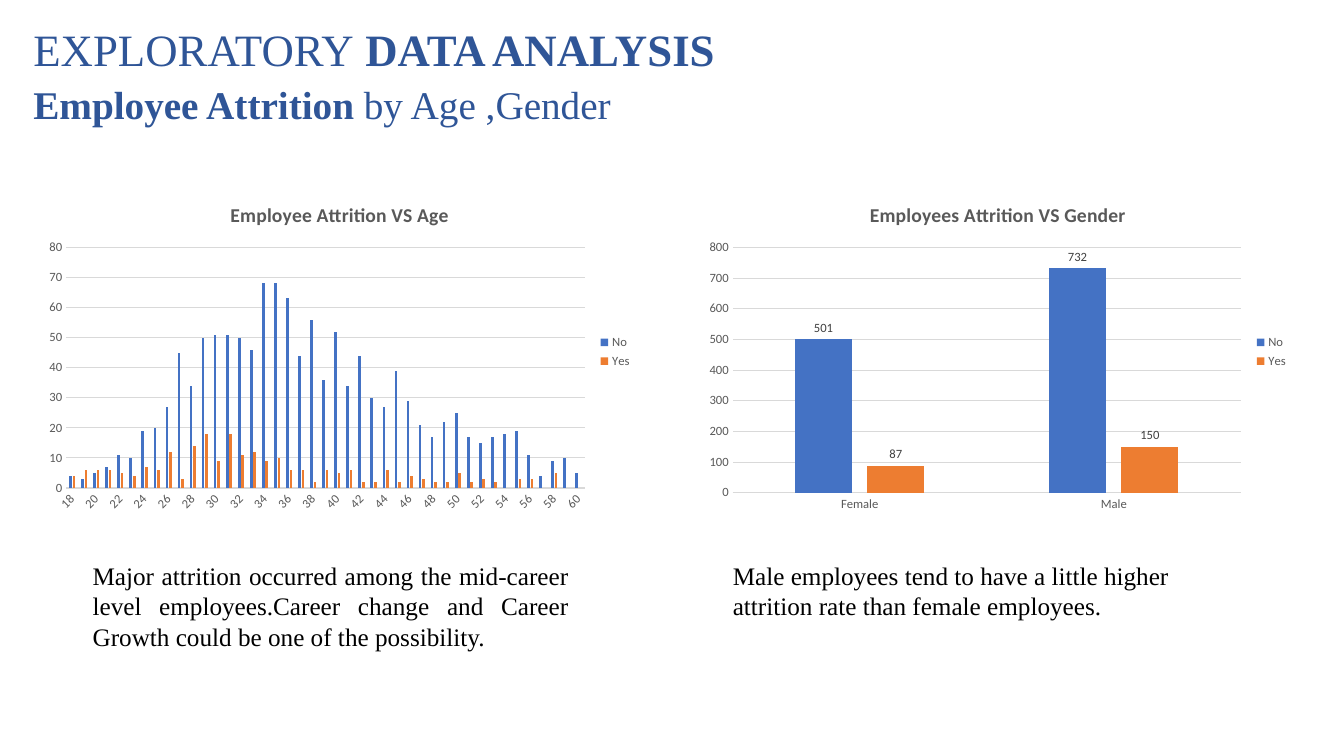
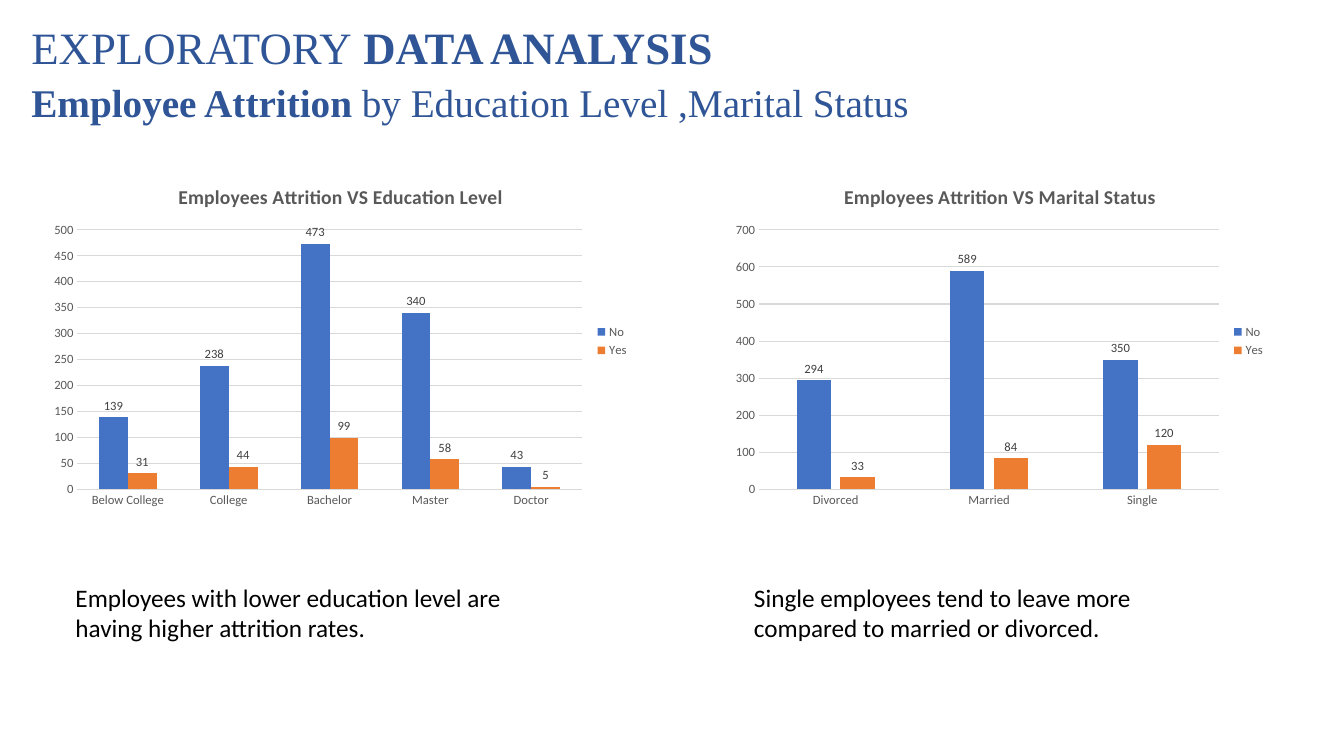
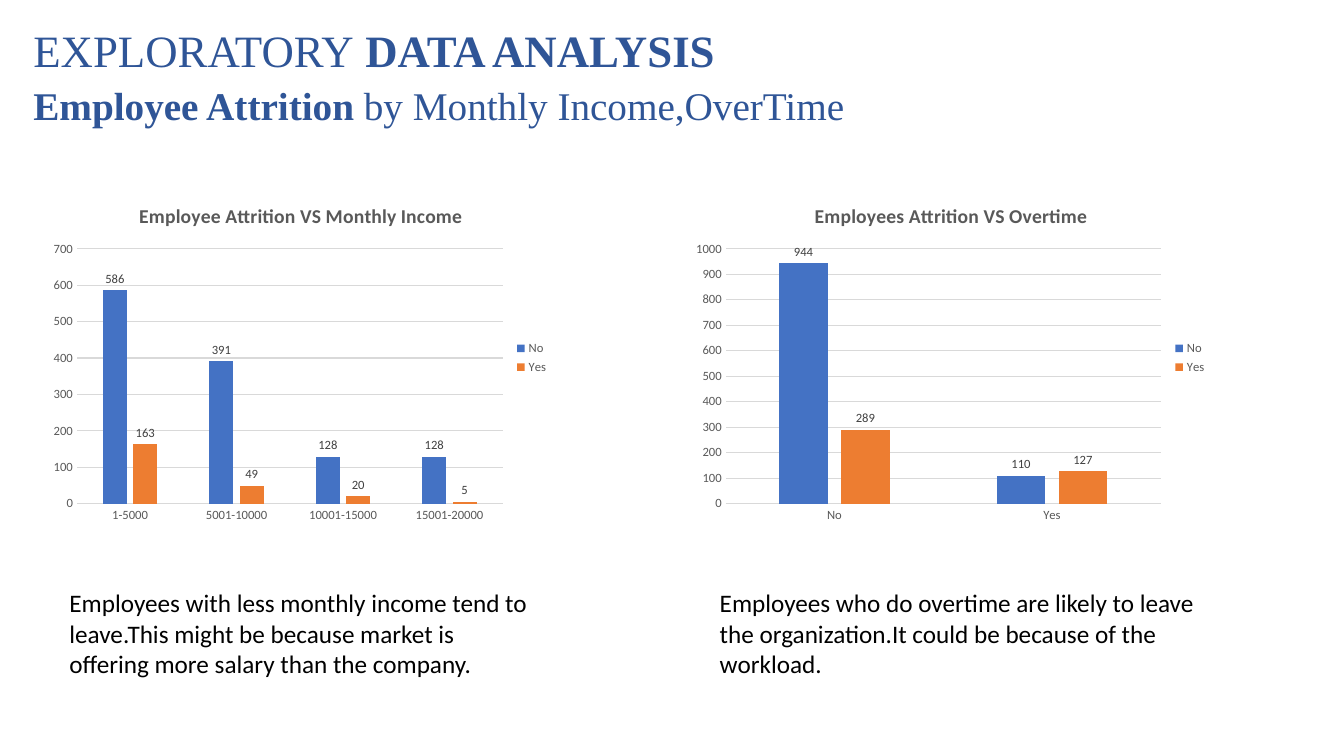
from pptx import Presentation
from pptx.chart.data import CategoryChartData as ChartData
from pptx.dml.color import RGBColor
from pptx.enum.chart import XL_CHART_TYPE as Kind, XL_LABEL_POSITION as Spot
from pptx.enum.chart import XL_LEGEND_POSITION as Side, XL_TICK_MARK as Tick
from pptx.enum.text import MSO_ANCHOR as Anchor, MSO_AUTO_SIZE as Fit, PP_ALIGN as Align
from pptx.oxml.ns import qn
from pptx.util import Inches, Pt

WIDE, HIGH = 13.33, 7.5
SERIF, SANS = "Times New Roman", "Calibri"
NAVY, BLACK, GRAY, DARK, RULE = "2F5597", "000000", "595959", "404040", "D9D9D9"
BARS = {"No": "4472C4", "Yes": "ED7D31"}


def color(code):
    return RGBColor.from_string(code)


def share(x, y, w, h):
    return [Inches(part * size / 100)
            for part, size in zip((x, y, w, h), (WIDE, HIGH, WIDE, HIGH))]


def style(font, size, code, face=SANS, bold=False):
    font.size, font.name, font.bold = Pt(size), face, bold
    font.color.rgb = color(code)


def add_head(slide, box, topic):
    head = slide.shapes.title
    head.left, head.top, head.width, head.height = share(*box)
    frame = head.text_frame
    frame.auto_size, frame.vertical_anchor, frame.word_wrap = Fit.NONE, Anchor.TOP, True
    lines = [(32, [("EXPLORATORY", False), (" DATA ANALYSIS", True)]),
             (28, [("Employee Attrition ", True), (topic, False)])]
    for row, (size, parts) in enumerate(lines):
        para = frame.add_paragraph() if row else frame.paragraphs[0]
        para.alignment, para.line_spacing = Align.LEFT, 1.1
        para.space_before = Pt(0)
        for text, bold in parts:
            run = para.add_run()
            run.text = text
            style(run.font, size, NAVY, SERIF, bold)


def add_note(slide, box, text, face, inset):
    frame = slide.shapes.add_textbox(*share(*box)).text_frame
    frame.word_wrap = True
    para = frame.paragraphs[0]
    para.text = text
    style(para.runs[0].font, 18, BLACK, face)
    if inset:
        para.alignment = Align.JUSTIFY
        para._p.get_or_add_pPr().set("marL", str(Inches(inset)))


def style_axes(chart):
    cats, vals = chart.category_axis, chart.value_axis
    for axis in (cats, vals):
        axis.major_tick_mark = axis.minor_tick_mark = Tick.NONE
        style(axis.tick_labels.font, 9, GRAY)
    cats._element.find(qn("c:txPr")).find(qn("a:bodyPr")).set("rot", "-60000000")
    vals.has_major_gridlines = True
    vals.format.line.fill.background()
    for line in (cats.format.line, vals.major_gridlines.format.line):
        line.color.rgb, line.width = color(RULE), Pt(0.75)


def add_bars(slide, box, title, cats, rows, labels, gap, lap):
    data = ChartData()
    data.categories = cats
    for name, vals in zip(BARS, rows):
        data.add_series(name, vals)
    chart = slide.shapes.add_chart(Kind.COLUMN_CLUSTERED, *share(*box), data).chart
    style(chart.font, 10, BLACK)
    chart.has_title = True
    frame = chart.chart_title.text_frame
    frame.text = title
    style(frame.paragraphs[0].runs[0].font, 14, GRAY, bold=True)
    chart.has_legend = True
    chart.legend.position, chart.legend.include_in_layout = Side.RIGHT, False
    style(chart.legend.font, 9, GRAY)
    style_axes(chart)
    plot = chart.plots[0]
    plot.vary_by_categories, plot.gap_width, plot.overlap = False, gap, lap
    for bars in plot.series:
        bars.format.fill.solid()
        bars.format.fill.fore_color.rgb = color(BARS[bars.name])
        if labels:
            tags = bars.data_labels
            tags.show_value, tags.position = True, Spot.OUTSIDE_END
            style(tags.font, 9, DARK)


def add_half(slide, rows, face, spot, title, cats, vals, text, note,
             inset=0, labels=True, gap=219, lap=-27):
    top, high, base = rows
    add_bars(slide, (spot[0], top, spot[1], high), title, cats, vals, labels, gap, lap)
    add_note(slide, (note[0], base, note[1], 13.47), text, face, inset)


AGE_NO = [4, 3, 5, 7, 11, 10, 19, 20, 27, 45, 34, 50, 51, 51, 50, 46, 68, 68, 63, 44, 56, 36,
          52, 34, 44, 30, 27, 39, 29, 21, 17, 22, 25, 17, 15, 17, 18, 19, 11, 4, 9, 10, 5]
AGE_YES = [4, 6, 6, 6, 5, 4, 7, 6, 12, 3, 14, 18, 9, 18, 11, 12, 9, 10, 6, 6, 2, 6,
           5, 6, 2, 2, 6, 2, 4, 3, 2, 2, 5, 2, 3, 2, None, 3, 3, None, 5, None, None]

SLIDES = [
    dict(topic="by Age ,Gender", head=(1.73, 1.47, 72.77, 22),
         rows=(24.53, 44, 73.47), face=SERIF, halves=[
        dict(spot=(2.78, 45), title="Employee Attrition VS Age",
             cats=[str(age) for age in range(18, 61)], vals=[AGE_NO, AGE_YES],
             note=(4.35, 38.71), inset=0.24, labels=False,
             text="Major attrition occurred among the mid-career level employees."
                  "Career change and Career Growth could be one of the possibility."),
        dict(spot=(51.9, 44.7), title="Employees Attrition VS Gender",
             cats=["Female", "Male"], vals=[[501, 732], [87, 150]], note=(53.79, 38.78),
             text="Male employees tend to have a little higher attrition rate "
                  "than female employees.")]),
    dict(topic="by Education Level ,Marital Status", head=(1.58, 1.2, 75.92, 19.33),
         rows=(22.13, 46, 76.4), face=SANS, halves=[
        dict(spot=(3.15, 44.4), title="Employees Attrition VS Education Level",
             cats=["Below College", "College", "Bachelor", "Master", "Doctor"],
             vals=[[139, 238, 473, 340, 43], [31, 44, 99, 58, 5]],
             note=(4.88, 38.33), gap=150, lap=0,
             text="Employees with lower education level are having higher attrition rates."),
        dict(spot=(53.94, 40.96), title="Employees Attrition VS Marital Status",
             cats=["Divorced", "Married", "Single"],
             vals=[[294, 589, 350], [33, 84, 120]], note=(55.36, 36.68),
             text="Single employees tend to leave more compared to married or divorced.")]),
    dict(topic="by Monthly Income,OverTime", head=(1.73, 1.6, 72.77, 22),
         rows=(24.67, 45.33, 77.07), face=SANS, halves=[
        dict(spot=(3.23, 38.33), title="Employee Attrition VS Monthly Income",
             cats=["1-5000", "5001-10000", "10001-15000", "15001-20000"],
             vals=[[586, 391, 128, 128], [163, 49, 20, 5]], note=(4.43, 35.56),
             text="Employees with less monthly income tend to leave.This might be "
                  "because market is offering more salary than the company."),
        dict(spot=(51.01, 39.53), title="Employees Attrition VS Overtime",
             cats=["No", "Yes"], vals=[[944, 110], [289, 127]], note=(52.81, 37.73),
             text="Employees who do overtime are likely to leave the organization."
                  "It could be because of the workload.")]),
]


def add_page(deck, topic, head, rows, face, halves):
    slide = deck.slides.add_slide(deck.slide_layouts[5])
    add_head(slide, head, topic)
    for half in halves:
        add_half(slide, rows, face, **half)


def main():
    deck = Presentation()
    deck.slide_width, deck.slide_height = Inches(WIDE), Inches(HIGH)
    for page in SLIDES:
        add_page(deck, **page)
    deck.save("out.pptx")


if __name__ == "__main__":
    main()
